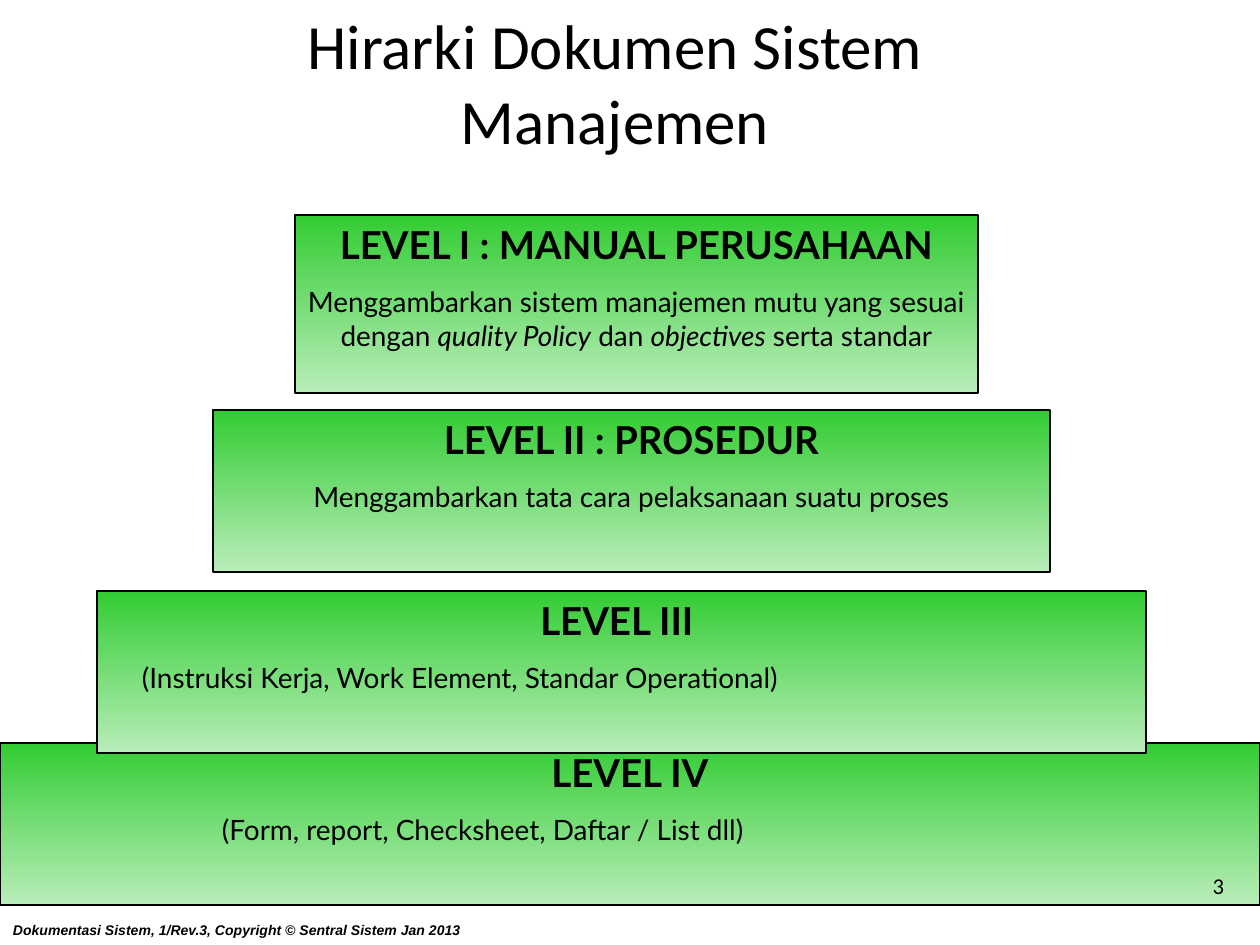
import pptx
import pptx.dml.color
import pptx.enum.shapes
import pptx.enum.text
import pptx.util

BLACK = pptx.dml.color.RGBColor(0x00, 0x00, 0x00)
GREEN = pptx.dml.color.RGBColor(0x33, 0xCC, 0x33)
PALE_GREEN = pptx.dml.color.RGBColor(0xB9, 0xED, 0xB9)
ALIGN = pptx.enum.text.PP_ALIGN
ANCHOR = pptx.enum.text.MSO_ANCHOR
PX_PER_INCH = 126
INSET_X, INSET_Y = 13, 6

LEVELS = [
    ((0, 743, 1260, 162), "LEVEL IV",
     [("(Form, report, Checksheet, Daftar / List dll)", False)], 209),
    ((97, 591, 1049, 162), "LEVEL III ",
     [("(Instruksi Kerja, Work Element, Standar Operational)", False)], 32),
    ((213, 410, 837, 162), "LEVEL II : PROSEDUR",
     [("Menggambarkan tata cara pelaksanaan suatu proses", False)], None),
    ((295, 215, 683, 178), "LEVEL I : MANUAL PERUSAHAAN",
     [("Menggambarkan sistem manajemen mutu yang sesuai dengan ", False),
      ("quality Policy", True), (" dan ", False),
      ("objectives", True), (" serta standar", False)], None),
]


def px(length):
    """Turn px into EMU."""
    return pptx.util.Emu(round(length * 914400 / PX_PER_INCH))


def write(paragraph, runs, size, font, bold=False, align=ALIGN.LEFT,
          before=None, spacing=None, indent=None):
    """Fill a paragraph with (text, italic) runs in one format."""
    paragraph.alignment = align
    if before is not None:
        paragraph.space_before = pptx.util.Pt(before)
    if spacing is not None:
        paragraph.line_spacing = spacing
    if indent is not None:
        properties = paragraph._p.get_or_add_pPr()
        properties.set("marL", str(px(indent)))
        properties.set("indent", "0")
    for text, italic in runs:
        run = paragraph.add_run()
        run.text = text
        run.font.name = font
        run.font.size = pptx.util.Pt(size)
        run.font.bold = bold
        run.font.italic = italic
        run.font.color.rgb = BLACK


def prepare_frame(shape, anchor):
    """Set wrapping, insets and anchor, and return the text frame."""
    frame = shape.text_frame
    frame.word_wrap = True
    frame.vertical_anchor = anchor
    frame.margin_left = frame.margin_right = px(INSET_X)
    frame.margin_top = frame.margin_bottom = px(INSET_Y)
    return frame


def add_label(slide, box, text, italic=False, anchor=ANCHOR.TOP, **text_format):
    """Place a single-paragraph text box."""
    label = slide.shapes.add_textbox(*map(px, box))
    frame = prepare_frame(label, anchor)
    write(frame.paragraphs[0], [(text, italic)], **text_format)


def add_level(slide, box, heading, description, indent):
    """Place one step of the document pyramid."""
    step = slide.shapes.add_shape(
        pptx.enum.shapes.MSO_SHAPE.RECTANGLE, *map(px, box))
    step.shadow.inherit = False
    step.fill.gradient()
    step.fill.gradient_angle = 270
    for stop, color in zip(step.fill.gradient_stops, (GREEN, PALE_GREEN)):
        stop.color.rgb = color
    step.line.color.rgb = BLACK
    step.line.width = pptx.util.Pt(0.75)
    frame = prepare_frame(step, ANCHOR.TOP)
    write(frame.paragraphs[0], [(heading, False)], size=22, font="Lato",
          bold=True, align=ALIGN.CENTER)
    write(frame.add_paragraph(), description, size=16, font="Lato", before=10,
          align=ALIGN.CENTER if indent is None else ALIGN.LEFT, indent=indent)


def main():
    """Build and save the slide."""
    deck = pptx.Presentation()
    deck.slide_width, deck.slide_height = px(1260), px(945)
    slide = deck.slides.add_slide(deck.slide_layouts[6])
    add_label(slide, (0, 916, 581, 30),
              "Dokumentasi Sistem, 1/Rev.3, Copyright © Sentral Sistem Jan 2013",
              italic=True, size=8, font="Arial", bold=True)
    base, *upper_levels = LEVELS
    add_level(slide, *base)
    add_label(slide, (1037, 869, 200, 45), "3", size=12.9, font="Calibri",
              align=ALIGN.RIGHT, spacing=0.9)
    add_label(slide, (137, 3, 956, 158), "Hirarki Dokumen Sistem Manajemen",
              anchor=ANCHOR.MIDDLE, size=36, font="Calibri",
              align=ALIGN.CENTER)
    for level in upper_levels:
        add_level(slide, *level)
    deck.save("out.pptx")


if __name__ == "__main__":
    main()
